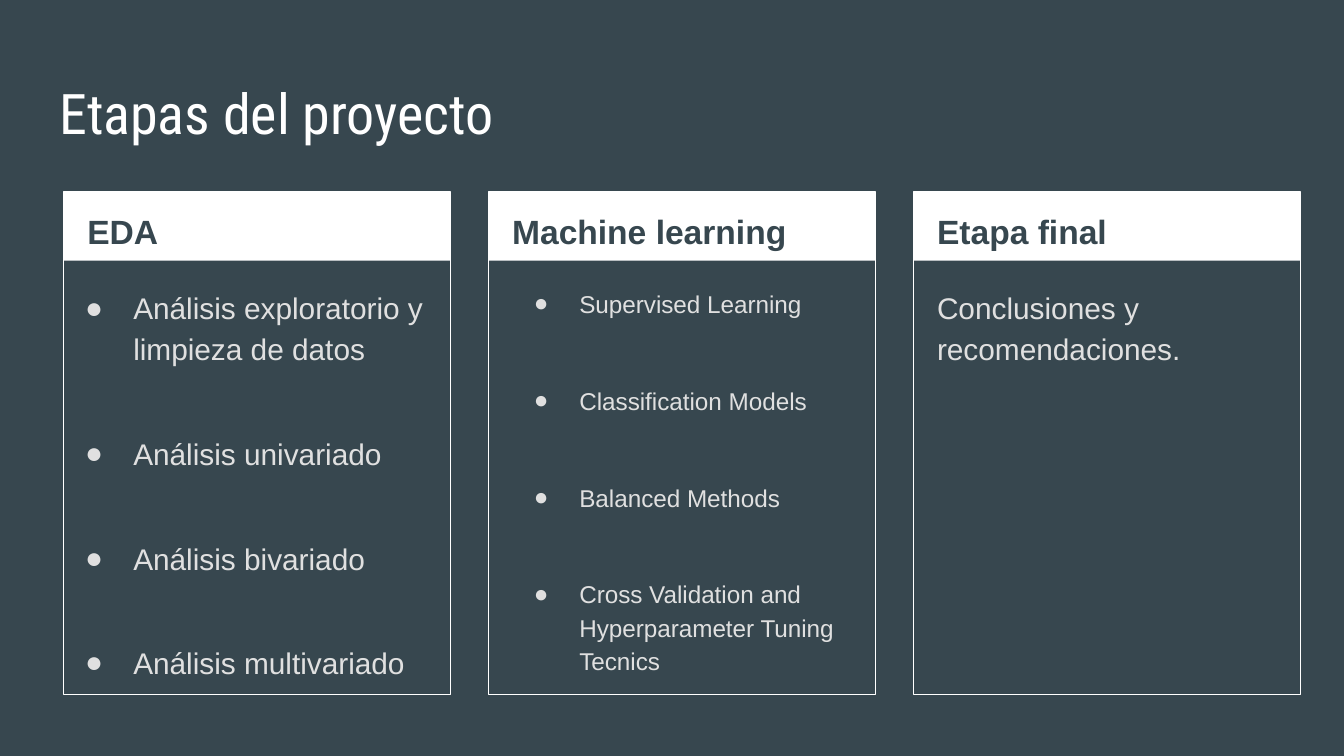
from lxml.etree import SubElement
from pptx import Presentation
from pptx.dml.color import RGBColor
from pptx.enum.shapes import MSO_SHAPE
from pptx.enum.text import MSO_ANCHOR, PP_ALIGN
from pptx.oxml.ns import qn
from pptx.util import Cm, Pt

COLORS = {"background": "37474F", "white": "FFFFFF", "body": "E0E0E0"}
BULLET_INDENT = 1.27
ITEM_GAP = 34
STAGES = [
    {
        "heading": "EDA",
        "items": [
            "Análisis exploratorio y limpieza de datos",
            "Análisis univariado",
            "Análisis bivariado",
            "Análisis multivariado",
        ],
        "size": 16,
        "hanging": 0.91,
        "body_offset": -0.2,
        "body_width": 7.32,
    },
    {
        "heading": "Machine learning",
        "items": [
            "Supervised Learning",
            "Classification Models",
            "Balanced Methods",
            "Cross Validation and Hyperparameter Tuning Tecnics",
        ],
        "size": 13,
        "hanging": 0.86,
        "body_offset": 0.2,
        "body_width": 6.88,
    },
    {
        "heading": "Etapa final",
        "items": ["Conclusiones y recomendaciones."],
        "size": 16,
        "hanging": 0,
        "body_offset": 0.2,
        "body_width": 6.88,
    },
]


def color(name):
    return RGBColor.from_string(COLORS[name])


def add_text_frame(slide, left, top, width, height):
    shape = slide.shapes.add_textbox(Cm(left), Cm(top), Cm(width), Cm(height))
    frame = shape.text_frame
    frame.word_wrap = True
    frame.vertical_anchor = MSO_ANCHOR.TOP
    frame.margin_left = frame.margin_right = Cm(0.25)
    frame.margin_top = frame.margin_bottom = Cm(0.25)
    return frame


def add_run(paragraph, text, size, color_name, font="Arial", bold=False):
    paragraph.alignment = PP_ALIGN.LEFT
    run = paragraph.add_run()
    run.text = text
    run.font.name = font
    run.font.size = Pt(size)
    run.font.bold = bold
    run.font.color.rgb = color(color_name)


def add_bullet(paragraph, hanging):
    properties = paragraph._p.get_or_add_pPr()
    properties.set("marL", str(Cm(BULLET_INDENT)))
    properties.set("indent", str(-Cm(hanging)))
    bullet_color = SubElement(properties, qn("a:buClr"))
    SubElement(bullet_color, qn("a:srgbClr"), val=COLORS["body"])
    SubElement(properties, qn("a:buFont"), typeface="Arial")
    SubElement(properties, qn("a:buChar"), char="●")


def add_rectangle(slide, left, top, width, height):
    shape = slide.shapes.add_shape(
        MSO_SHAPE.RECTANGLE, Cm(left), Cm(top), Cm(width), Cm(height)
    )
    shape.shadow.inherit = False
    return shape


def add_title(slide, left, top, width, height):
    frame = add_text_frame(slide, left, top, width, height)
    add_run(frame.paragraphs[0], "Etapas del proyecto", 30, "white", "Roboto Condensed")


def add_stage(slide, stage, left, top, width, height):
    band = add_rectangle(slide, left, top, width, 1.3)
    band.fill.solid()
    band.fill.fore_color.rgb = color("white")
    band.line.fill.background()

    border = add_rectangle(slide, left, top, width, height)
    border.fill.background()
    border.line.color.rgb = color("white")
    border.line.width = Pt(0.75)

    heading = add_text_frame(slide, left + 0.2, top, width - 0.4, 1.27).paragraphs[0]
    heading.line_spacing = 1.15
    add_run(heading, stage["heading"], 18, "background", bold=True)

    body = add_text_frame(
        slide, left + stage["body_offset"], top + 1.5, stage["body_width"], height - 1.7
    )
    for index, item in enumerate(stage["items"]):
        paragraph = body.add_paragraph() if index else body.paragraphs[0]
        paragraph.line_spacing = 1.15
        paragraph.space_before = Pt(ITEM_GAP if index else 0)
        if stage["hanging"]:
            add_bullet(paragraph, stage["hanging"])
        add_run(paragraph, item, stage["size"], "body")


def main():
    presentation = Presentation()
    presentation.slide_width = Cm(25.4)
    presentation.slide_height = Cm(14.29)
    slide = presentation.slides.add_slide(presentation.slide_layouts[6])
    slide.background.fill.solid()
    slide.background.fill.fore_color.rgb = color("background")

    add_title(slide, 0.87, 1.24, 23.67, 1.6)
    for index, stage in enumerate(STAGES):
        add_stage(slide, stage, 1.2 + index * 8.03, 3.63, 7.32, 9.5)

    presentation.save("out.pptx")


if __name__ == "__main__":
    main()
